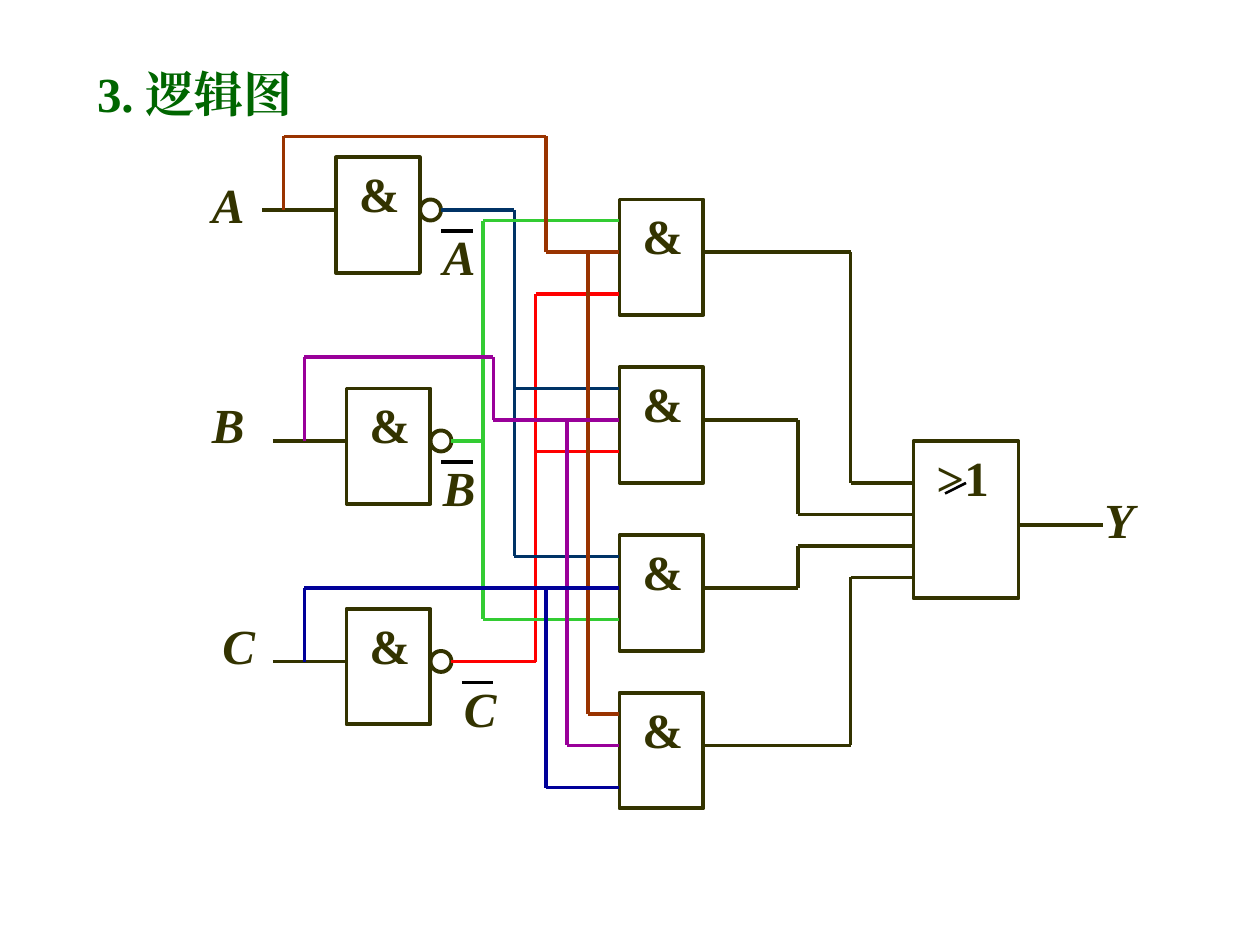
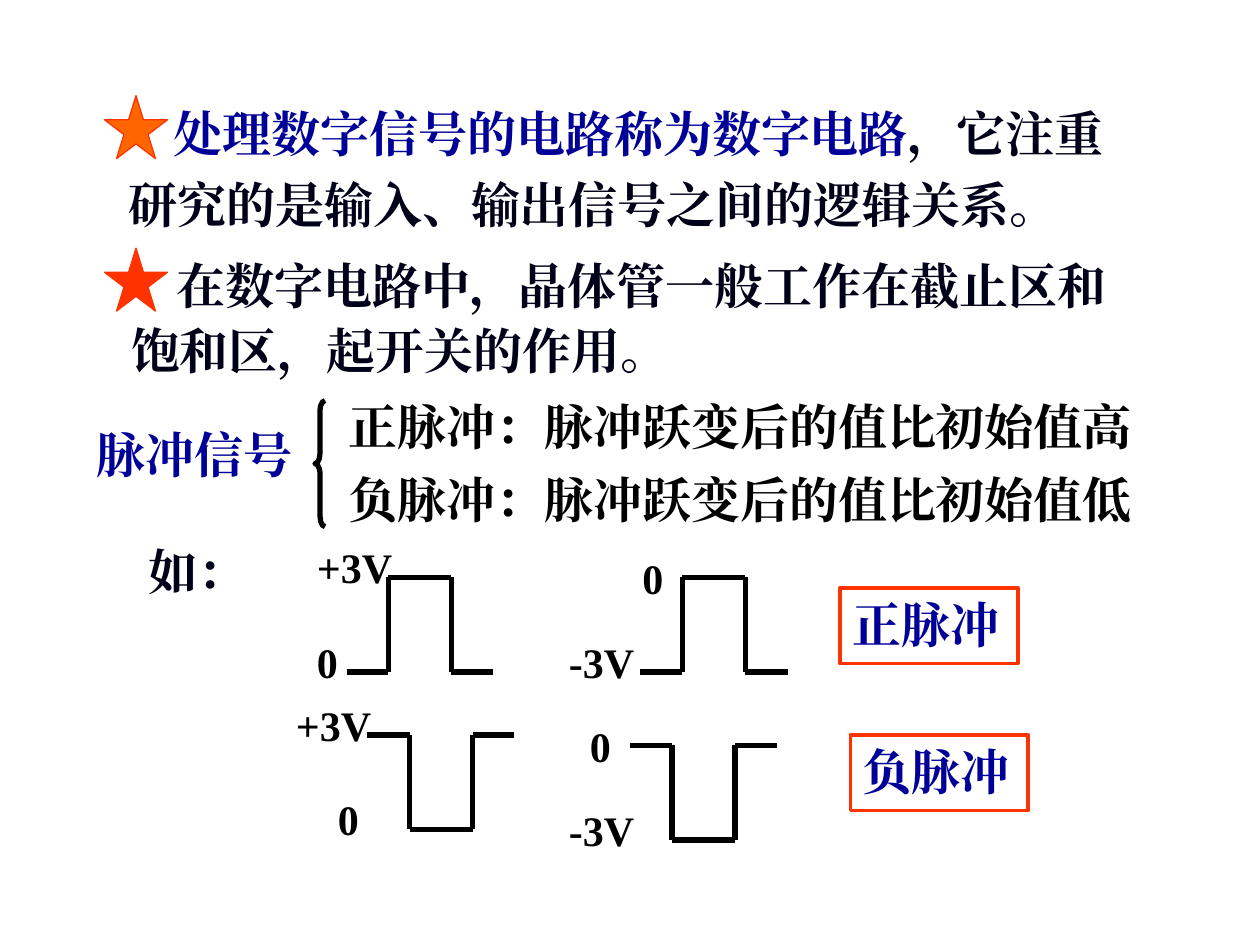
from dataclasses import dataclass
from itertools import pairwise

from lxml.etree import SubElement
from pptx import Presentation
from pptx.dml.color import RGBColor
from pptx.enum.shapes import MSO_CONNECTOR, MSO_SHAPE
from pptx.enum.text import MSO_ANCHOR, MSO_AUTO_SIZE, PP_ALIGN
from pptx.oxml.ns import qn
from pptx.util import Inches, Pt


@dataclass(frozen=True)
class Theme:
    font: str = "Times New Roman"
    text_size: float = 28
    level_size: float = 24
    wire_width: float = 2.25
    pulse_width: float = 3
    stroke_width: float = 1.5
    star_width: float = 0.75
    heading: str = "006600"
    gate: str = "333300"
    ink: str = "000018"
    black: str = "000000"
    blue: str = "000099"
    brown: str = "993300"
    purple: str = "990099"
    red: str = "FF0000"
    navy: str = "003366"
    green: str = "33CC33"
    orange: str = "FF6600"
    vermilion: str = "FF3300"


def grid(*steps):
    """Turn twelfths of an inch into lengths."""
    return [Inches(step / 12) for step in steps]


def inches(*values):
    return [Inches(value) for value in values]


class Deck:
    def __init__(self, theme):
        self.theme = theme
        self.presentation = Presentation()
        self.presentation.slide_width = Inches(10)
        self.presentation.slide_height = Inches(7.5)
        self.slide = None

    def add_slide(self, layout_index):
        layout = self.presentation.slide_layouts[layout_index]
        self.slide = self.presentation.slides.add_slide(layout)

    def set_text(self, holder, runs, size=None, italic=False, wrap=True,
                 anchor=MSO_ANCHOR.TOP, spacing=1.0, indent=0):
        """Fill a shape with one paragraph of (text, colour) runs."""
        frame = holder.text_frame
        frame_format = {"word_wrap": wrap, "auto_size": MSO_AUTO_SIZE.NONE,
                        "vertical_anchor": anchor}
        for name, value in frame_format.items():
            setattr(frame, name, value)
        paragraph = frame.paragraphs[0]
        properties = paragraph._p.get_or_add_pPr()
        properties.set("marL", "0")
        properties.set("indent", str(Inches(indent)))
        SubElement(properties, qn("a:buNone"))
        paragraph_format = {"alignment": PP_ALIGN.LEFT, "space_before": Pt(0),
                            "line_spacing": spacing}
        for name, value in paragraph_format.items():
            setattr(paragraph, name, value)
        run_format = {"name": self.theme.font, "bold": True, "italic": italic,
                      "size": Pt(size or self.theme.text_size)}
        for text, color in runs:
            run = paragraph.add_run()
            run.text = text
            for name, value in run_format.items():
                setattr(run.font, name, value)
            run.font.color.rgb = RGBColor.from_string(color)
            east_asian = SubElement(run._r.get_or_add_rPr(), qn("a:ea"))
            east_asian.set("typeface", self.theme.font)

    def fill_placeholder(self, index, box, runs, **style):
        placeholder = self.slide.placeholders[index]
        for name, value in zip(("left", "top", "width", "height"), box):
            setattr(placeholder, name, value)
        self.set_text(placeholder, runs, **style)

    def label(self, box, text, color, **style):
        self.set_text(self.slide.shapes.add_textbox(*box), [(text, color)], **style)

    def outline(self, kind, box, color, width, fill=None):
        shape = self.slide.shapes.add_shape(kind, *box)
        shape.shadow.inherit = False
        if fill:
            shape.fill.solid()
            shape.fill.fore_color.rgb = RGBColor.from_string(fill)
        else:
            shape.fill.background()
        shape.line.color.rgb = RGBColor.from_string(color)
        shape.line.width = Pt(width)
        return shape

    def wire(self, color, *corners, width=None):
        """Join grid points with straight segments."""
        for start, end in pairwise(corners):
            segment = self.slide.shapes.add_connector(
                MSO_CONNECTOR.STRAIGHT, *grid(*start), *grid(*end))
            segment.line.color.rgb = RGBColor.from_string(color)
            segment.line.width = Pt(width or self.theme.wire_width)
            SubElement(segment._element.spPr, qn("a:effectLst"))

    def variable(self, x, y, text):
        self.label(grid(x, y, 8, 7), text, self.theme.gate, italic=True)

    def gate(self, x, y, symbol="&", width=8, height=11):
        self.outline(MSO_SHAPE.RECTANGLE, grid(x, y, width, height),
                     self.theme.gate, self.theme.wire_width)
        self.label(grid(x + 1, y, width - 1, 7), symbol, self.theme.gate)

    def inverter(self, x, y, wire_start):
        self.gate(x, y)
        self.outline(MSO_SHAPE.OVAL, grid(x + 8, y + 4, 2, 2),
                     self.theme.gate, self.theme.wire_width)
        self.wire(self.theme.gate, (wire_start, y + 5), (x, y + 5))

    def negated(self, x, y, text):
        self.variable(x, y, text)
        self.wire(self.theme.black, (x + 1, y + 1), (x + 4, y + 1))

    def pulse(self, x, y, rise):
        profile = [(0, 0), (4, 0), (4, rise), (10, rise), (10, 0), (14, 0)]
        self.wire(self.theme.black, *((x + dx, y - dy) for dx, dy in profile),
                  width=self.theme.pulse_width)

    def level(self, x, y, text):
        self.label(grid(x, y, 4 if text == "0" else 10, 6), text,
                   self.theme.black, size=self.theme.level_size)

    def star(self, top, fill):
        self.outline(MSO_SHAPE.STAR_5_POINT, inches(0.83, top, 0.5, 0.5),
                     self.theme.vermilion, self.theme.star_width, fill)

    def pulse_name(self, x, y, text):
        frame = self.outline(MSO_SHAPE.RECTANGLE, [*grid(x, y), *inches(1.41, 0.6)],
                             self.theme.vermilion, self.theme.wire_width)
        self.set_text(frame, [(text, self.theme.blue)], wrap=False)


def draw_logic_diagram(deck):
    theme = deck.theme
    deck.add_slide(5)
    deck.fill_placeholder(0, inches(0.57, 0.45, 1.86, 0.57),
                          [("3. 逻辑图", theme.heading)], indent=0.1)

    for x, y, name in [(19, 16, "A"), (19, 37, "B"), (20, 58, "C"), (104, 46, "Y")]:
        deck.variable(x, y, name)
    for x, y, wire_start in [(32, 15, 25), (33, 37, 26), (33, 58, 26)]:
        deck.inverter(x, y, wire_start)
    for y in (19, 35, 51, 66):
        deck.gate(59, y)
    deck.gate(87, 42, ">1", width=10, height=15)
    deck.wire(theme.black, (92, 46), (90, 47), width=theme.stroke_width)

    input_wires = [
        (theme.red, (43, 63), (51, 63), (51, 28), (59, 28)),
        (theme.red, (51, 43), (59, 43)),
        (theme.navy, (42, 20), (49, 20), (49, 53), (59, 53)),
        (theme.navy, (49, 37), (59, 37)),
        (theme.green, (43, 42), (46, 42)),
        (theme.green, (59, 21), (46, 21), (46, 59), (59, 59)),
        (theme.brown, (27, 20), (27, 13), (52, 13), (52, 24), (59, 24)),
        (theme.brown, (56, 24), (56, 68), (59, 68)),
        (theme.purple, (29, 42), (29, 34), (47, 34), (47, 40), (59, 40)),
        (theme.purple, (54, 40), (54, 71), (59, 71)),
        (theme.blue, (29, 63), (29, 56), (59, 56)),
        (theme.blue, (52, 56), (52, 75), (59, 75)),
    ]
    for color, *corners in input_wires:
        deck.wire(color, *corners)
    for and_y, bend_x, or_y in [(24, 81, 46), (40, 76, 49), (56, 76, 52), (71, 81, 55)]:
        deck.wire(theme.gate, (67, and_y), (bend_x, and_y), (bend_x, or_y), (87, or_y))
    deck.wire(theme.gate, (97, 50), (105, 50))

    for x, y, name in [(41, 21, "A"), (41, 43, "B"), (43, 64, "C")]:
        deck.negated(x, y, name)


def draw_pulse_signals(deck):
    theme = deck.theme
    deck.add_slide(3)
    title = deck.slide.shapes.title._element
    title.getparent().remove(title)

    statement = {"anchor": MSO_ANCHOR.MIDDLE, "indent": 0.36}
    deck.fill_placeholder(
        1, inches(0.92, 0.68, 8.18, 1.22),
        [("处理数字信号的电路称为数字电路", theme.blue),
         ("，它注重研究的是输入、输出信号之间的逻辑关系。", theme.ink)],
        spacing=1.2, **statement)
    deck.fill_placeholder(
        2, inches(0.94, 1.93, 8.06, 1.13),
        [("在数字电路中，晶体管一般工作在截止区和饱和区，起开关的作用。", theme.ink)],
        spacing=1.1, **statement)
    deck.star(0.76, theme.orange)
    deck.star(1.97, theme.vermilion)

    deck.label(inches(0.67, 3.27, 1.76, 0.61), "脉冲信号", theme.blue,
               wrap=False, spacing=1.1)
    brace = deck.outline(MSO_SHAPE.LEFT_BRACE, inches(2.5, 3.18, 0.08, 1),
                         theme.black, theme.pulse_width)
    brace.adjustments[0] = 1
    brace.adjustments[1] = 0.5
    for top, definition in [(3.1, "正脉冲：脉冲跃变后的值比初始值高"),
                            (3.68, "负脉冲：脉冲跃变后的值比初始值低")]:
        deck.label(inches(2.67, top, 6.44, 0.57), definition, theme.black, wrap=False)
    deck.label(inches(1.08, 4.25, 0.99, 0.57), "如：", theme.ink, wrap=False)

    for x, y, rise in [(33, 64, 9), (61, 64, 9), (35, 70, -9), (60, 71, -9)]:
        deck.pulse(x, y, rise)
    levels = [(29, 60, "0"), (29, 51, "+3V"), (60, 52, "0"), (53, 60, "-3V"),
              (31, 75, "0"), (27, 66, "+3V"), (55, 68, "0"), (53, 76, "-3V")]
    for x, y, voltage in levels:
        deck.level(x, y, voltage)
    deck.pulse_name(80, 56, "正脉冲")
    deck.pulse_name(81, 70, "负脉冲")


def main():
    deck = Deck(Theme())
    draw_logic_diagram(deck)
    draw_pulse_signals(deck)
    deck.presentation.save("out.pptx")


if __name__ == "__main__":
    main()
